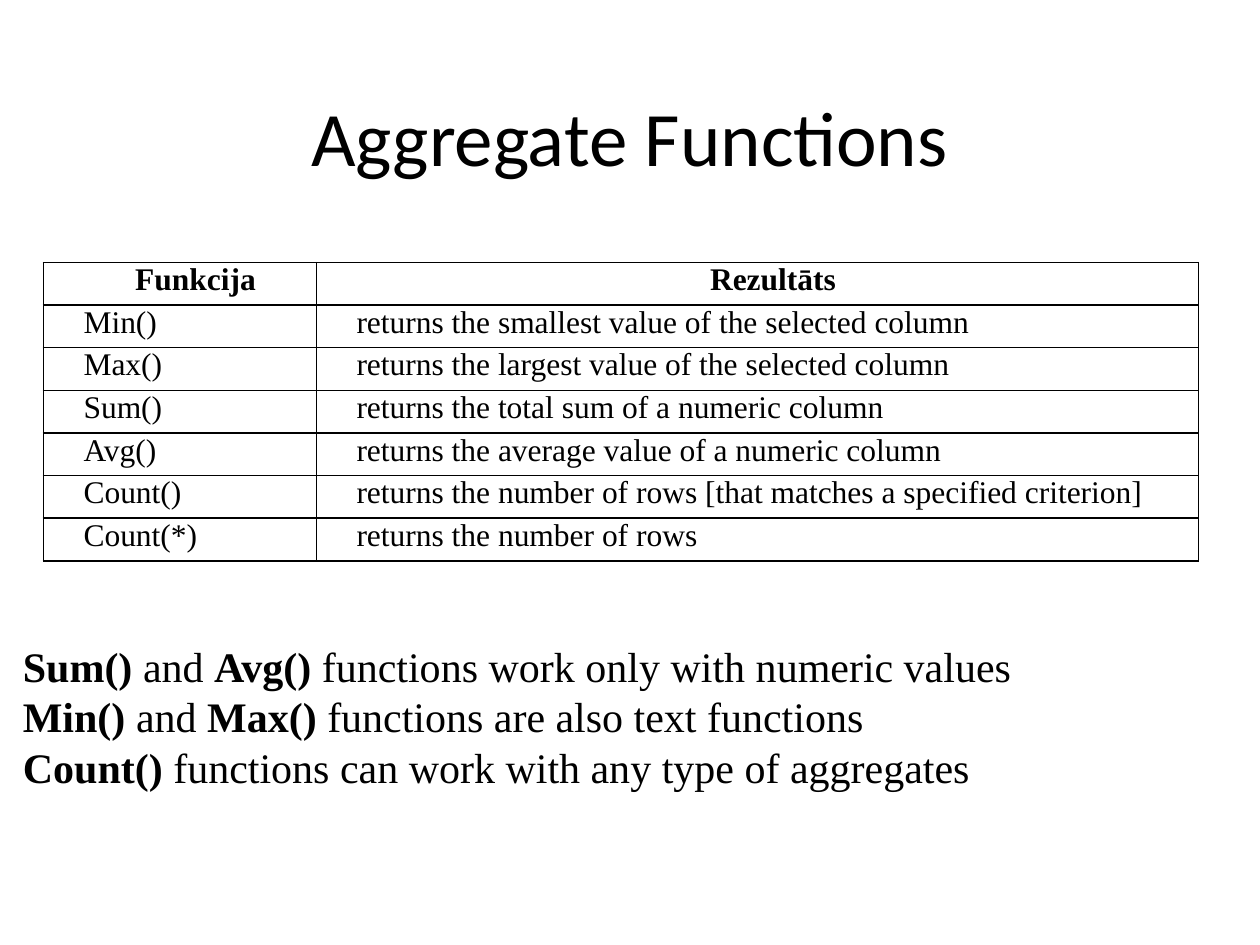
from lxml import etree
from pptx import Presentation
from pptx.dml.color import RGBColor
from pptx.enum.text import MSO_ANCHOR, PP_ALIGN
from pptx.oxml.ns import qn
from pptx.util import Pt

CENTER, JUSTIFY, LEFT = PP_ALIGN.CENTER, PP_ALIGN.JUSTIFY, PP_ALIGN.LEFT
MIDDLE = MSO_ANCHOR.MIDDLE
COLORS = {"ink": "000000", "paper": "FFFFFF"}
SERIF = "Times New Roman"

FUNCTIONS = [
    ("Funkcija", "Rezultāts"),
    ("Min()", "returns the smallest value of the selected column"),
    ("Max()", "returns the largest value of the selected column"),
    ("Sum()", "returns the total sum of a numeric column"),
    ("Avg()", "returns the average value of a numeric column"),
    ("Count()", "returns the number of rows [that matches a specified criterion]"),
    ("Count(*)", "returns the number of rows"),
]
# Each note is a list of (text, bold) spans.
NOTES = [
    [("Sum() ", True), ("and ", False), ("Avg() ", True),
     ("functions work only with numeric values", False)],
    [("Min() ", True), ("and ", False), ("Max() ", True),
     ("functions are also text functions", False)],
    [("Count() ", True), ("functions can work with any type of aggregates", False)],
]


def set_font(para, name, size, bold=None):
    font = para.font
    font.name, font.size, font.bold = name, Pt(size), bold
    font.color.rgb = RGBColor.from_string(COLORS["ink"])


def add_text_frame(page, left, top, width, height):
    box = page.shapes.add_textbox(Pt(left), Pt(top), Pt(width), Pt(height))
    box.text_frame.word_wrap = True
    return box.text_frame


def add_title(page, left, top, width, height):
    frame = add_text_frame(page, left, top, width, height)
    frame.vertical_anchor = MIDDLE
    para = frame.paragraphs[0]
    para.text = "Aggregate Functions"
    para.alignment = CENTER
    para.line_spacing = 0.9
    set_font(para, "Calibri", 44)


def add_borders(cell):
    properties = cell._tc.get_or_add_tcPr()
    for side in ("a:lnL", "a:lnR", "a:lnT", "a:lnB"):
        line = etree.SubElement(properties, qn(side), w=str(Pt(1)))
        fill = etree.SubElement(line, qn("a:solidFill"))
        etree.SubElement(fill, qn("a:srgbClr"), val=COLORS["ink"])


def fill_cell(cell, text, is_header):
    cell.margin_left = cell.margin_right = Pt(5)
    cell.margin_top = cell.margin_bottom = Pt(0)
    add_borders(cell)
    cell.fill.solid()
    cell.fill.fore_color.rgb = RGBColor.from_string(COLORS["paper"])
    para = cell.text_frame.paragraphs[0]
    para.text = text
    para.alignment = CENTER if is_header else JUSTIFY
    para._p.get_or_add_pPr().set("indent", str(Pt(18)))
    set_font(para, SERIF, 18, is_header)


def add_function_table(page, left, top, width, height):
    name_width = 156
    table = page.shapes.add_table(len(FUNCTIONS), 2, Pt(left), Pt(top),
                                  Pt(width), Pt(height)).table
    table.columns[0].width = Pt(name_width)
    table.columns[1].width = Pt(width - name_width)
    for row, texts in enumerate(FUNCTIONS):
        for column, text in enumerate(texts):
            fill_cell(table.cell(row, column), text, row == 0)


def add_notes(page, left, top, width, height):
    frame = add_text_frame(page, left, top, width, height)
    for index, note in enumerate(NOTES):
        para = frame.add_paragraph() if index else frame.paragraphs[0]
        para.alignment = LEFT
        set_font(para, SERIF, 24)
        for text, bold in note:
            span = para.add_run()
            span.text = text
            span.font.bold = bold


def main():
    deck = Presentation()
    deck.slide_width, deck.slide_height = Pt(720), Pt(540)
    page = deck.slides.add_slide(deck.slide_layouts[6])
    add_title(page, 49.5, 28.75, 621, 104.4)
    add_function_table(page, 24.75, 150, 660, 170.6)
    add_notes(page, 6, 362.5, 679, 124)
    deck.save("out.pptx")


if __name__ == "__main__":
    main()
